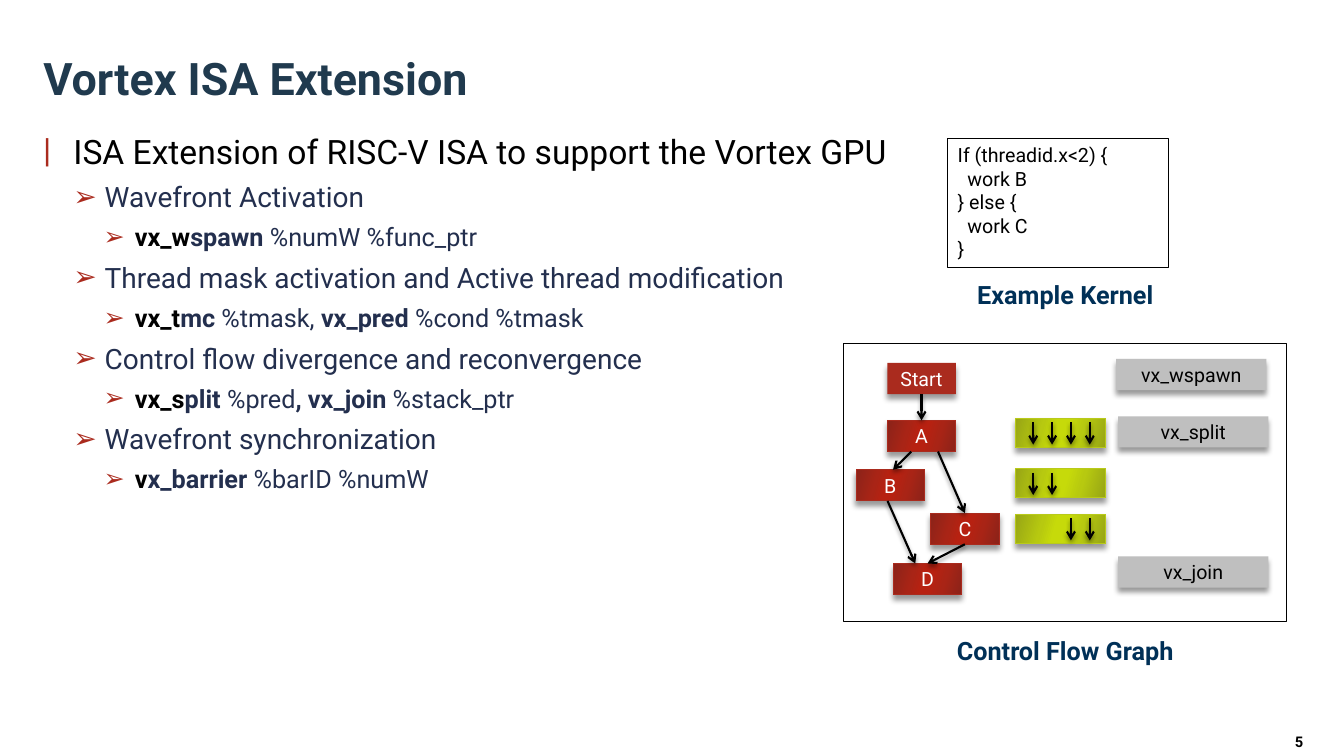
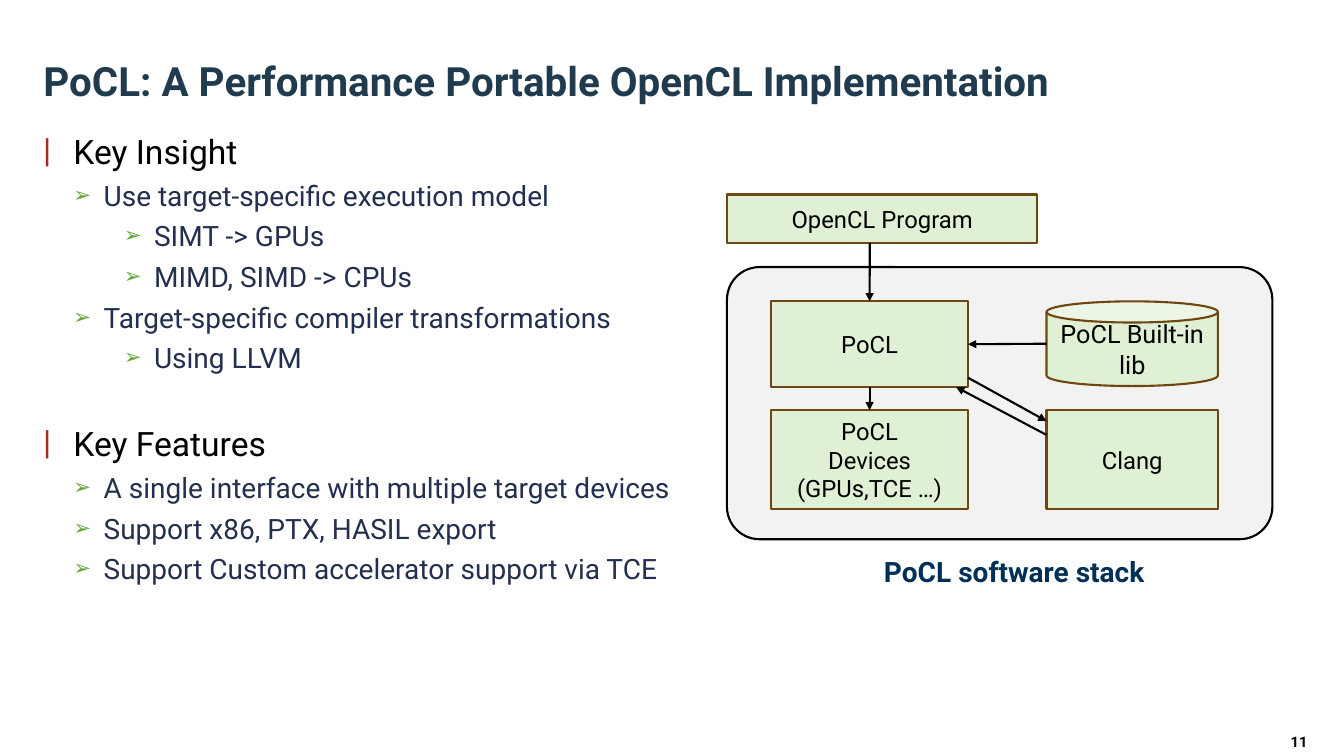
"""Build two slides on the Vortex ISA extension and the PoCL software stack."""
from dataclasses import dataclass

from lxml import etree
from pptx import Presentation
from pptx import util as u
from pptx.dml.color import RGBColor
from pptx.enum import shapes, text
from pptx.oxml.ns import qn


@dataclass(frozen=True)
class Theme:
    font: str = "Roboto"
    title: str = "203A4E"
    navy: str = "232F4E"
    caption: str = "003057"
    black: str = "000000"
    white: str = "FFFFFF"
    red: str = "AA2B1E"
    green: str = "64A73B"
    lime: str = "B9CA1A"
    grey: str = "BFBFBF"
    panel: str = "F2F2F2"
    leaf: str = "DFF0D5"
    brown: str = "6F460F"
    red_shades: tuple = ("8B2319", "A92416", "B72111")
    lime_shades: tuple = ("97A515", "B7C910", "C6DA0A")
    node_shadow: tuple = (4, 3.4)
    arrow_shadow: tuple = (3, 2)
    heading_size: float = 24
    item_size: float = 20
    code_size: float = 18
    label_size: float = 14
    stack_size: float = 17
    page_size: float = 10.5


T = Theme()
SIZE = (13.33, 7.5)
TITLE_AT = (0.33, 0.17, 12.33, 0.92)
BODY_AT = (0.33, 1.25, 12.67, 5.67)
PAGE_AT = (12.33, 7.22, 1.11, 0.25)

ISA_OUTLINE = [
    (0, "ISA Extension of RISC-V ISA to support the Vortex GPU"),
    (1, "Wavefront Activation"),
    (2, [("vx_w", "black"), ("spawn ", "bold"), ("%numW %func_ptr", "")]),
    (1, "Thread mask activation and Active thread modification"),
    (2, [("vx_t", "black"), ("mc ", "bold"), ("%tmask, ", ""),
         ("vx_pred ", "bold"), ("%cond %tmask", "")]),
    (1, "Control flow divergence and reconvergence"),
    (2, [("vx_s", "black"), ("plit ", "bold"), ("%pred", ""),
         (", vx_join ", "bold"), ("%stack_ptr", "")]),
    (1, "Wavefront synchronization"),
    (2, [("v", "black"), ("x_barrier ", "bold"), ("%barID %numW", "")]),
]
POCL_OUTLINE = [
    (0, "Key Insight"),
    (1, "Use target-specific execution model"),
    (2, "SIMT -> GPUs"),
    (2, "MIMD, SIMD -> CPUs"),
    (1, "Target-specific compiler transformations"),
    (2, "Using LLVM"),
    (0, "Key Features"),
    (1, "A single interface with multiple target devices"),
    (1, "Support x86, PTX, HASIL export"),
    (1, "Support Custom accelerator support via TCE"),
]
ISA_STYLE = dict(indents=(0.3, 0.61, 0.91), hangs=(0.3, 0.31, 0.31), gap=6,
                 section_gap=6, marker=T.red, percent=100,
                 sizes=(T.heading_size, T.item_size, T.code_size))
POCL_STYLE = dict(indents=(0.3, 0.6, 1.1), hangs=(0.3, 0.3, 0.3), gap=5,
                  section_gap=35, marker=T.green, percent=76,
                  sizes=(T.heading_size, T.item_size, T.item_size))

KERNEL = ["If (threadid.x<2) {", "  work B", "} else {", "  work C", "}"]
KERNEL_AT = (9.4, 1.37, 2.19, 1.28)
GRAPH_AT = (8.37, 3.41, 4.39, 2.76)
BLOCK = (0.68, 0.31)
BLOCKS = {"Start": (8.8, 3.6), "A": (8.8, 4.17), "B": (8.49, 4.66),
          "C": (9.23, 5.09), "D": (8.86, 5.59)}
FLOW = [("Start", 0.5, "A", 0.5), ("A", 0.35, "B", 0.54), ("A", 0.74, "C", 0.5),
        ("B", 0.46, "D", 0.32), ("C", 0.5, "D", 0.5)]
MASK_LEFT, MASK = 10.07, (0.89, 0.29)
MASKS = [(4.15, (0, 1, 2, 3)), (4.65, (0, 1)), (5.1, (2, 3))]
INSTRUCTIONS = [("vx_wspawn", 11.07, 3.56), ("vx_split", 11.09, 4.13),
                ("vx_join", 11.09, 5.52)]
INSTRUCTION = (1.49, 0.31)

STACK_AT = (7.21, 2.65, 5.41, 2.7)
STACK = {
    "program": (["OpenCL Program"], (7.21, 1.93, 3.08, 0.48)),
    "pocl": (["PoCL"], (7.65, 2.99, 1.95, 0.85)),
    "lib": (["PoCL Built-in lib"], (10.38, 2.99, 1.7, 0.84)),
    "devices": (["PoCL", "Devices", "(GPUs,TCE …)"], (7.65, 4.07, 1.95, 0.98)),
    "clang": (["Clang"], (10.38, 4.07, 1.7, 0.98)),
}
CALLS = [("program", 0.46, 1, "pocl", 0.5, 0), ("lib", 0, 0.5, "pocl", 1, 0.5),
         ("clang", 0, 0.25, "pocl", 0.94, 1), ("pocl", 1, 0.89, "clang", 0, 0.11),
         ("pocl", 0.5, 1, "devices", 0.5, 0)]


def inches(lengths):
    return [u.Inches(length) for length in lengths]


def add_xml(parent, tag, **attributes):
    return etree.SubElement(parent, qn(tag), {k: str(v) for k, v in attributes.items()})


def set_font(font, size=None, color=None, bold=None):
    font.name = T.font
    if size:
        font.size = u.Pt(size)
    if color:
        font.color.rgb = RGBColor.from_string(color)
    if bold is not None:
        font.bold = bold


def write(frame, lines, size, color, bold=False, align=text.PP_ALIGN.CENTER, spacing=None):
    frame.word_wrap = True
    for i, line in enumerate(lines):
        paragraph = frame.paragraphs[0] if i == 0 else frame.add_paragraph()
        paragraph.text = line
        paragraph.alignment = align
        if spacing:
            paragraph.line_spacing = spacing
        set_font(paragraph.font, size, color, bold)


def label(slide, at, words, size, color, spacing=None):
    frame = slide.shapes.add_textbox(*inches(at)).text_frame
    write(frame, [words], size, color, bold=True, spacing=spacing)


def shade(part, blur, distance):
    effects = add_xml(part._element.spPr, "a:effectLst")
    shadow = add_xml(effects, "a:outerShdw", blurRad=u.Pt(blur), dist=u.Pt(distance),
                     dir=90 * 60000, rotWithShape=0)
    add_xml(add_xml(shadow, "a:srgbClr", val=T.black), "a:alpha", val=40000)


def shine(part, shades):
    part.fill.gradient()
    part.fill.gradient_angle = 344
    stops = part._element.spPr.find(".//" + qn("a:gsLst"))
    for stop in list(stops):
        stops.remove(stop)
    for percent, tone in zip((0, 30, 45, 55, 73, 100), (0, 1, 2, 2, 1, 0)):
        add_xml(add_xml(stops, "a:gs", pos=percent * 1000), "a:srgbClr", val=shades[tone])


def box(slide, at, fill=None, line=None, width=0.75, shadow=None, kind="RECTANGLE"):
    part = slide.shapes.add_shape(shapes.MSO_SHAPE[kind], *inches(at))
    if isinstance(fill, tuple):
        shine(part, fill)
    elif fill:
        part.fill.solid()
        part.fill.fore_color.rgb = RGBColor.from_string(fill)
    else:
        part.fill.background()
    if line:
        part.line.color.rgb = RGBColor.from_string(line)
        part.line.width = u.Pt(width)
    else:
        part.line.fill.background()
    if shadow:
        shade(part, *shadow)
    else:
        part.shadow.inherit = False
    return part


def arrow(slide, start, end, head="arrow", shadow=None):
    link = slide.shapes.add_connector(shapes.MSO_CONNECTOR.STRAIGHT, *inches(start + end))
    link.line.color.rgb = RGBColor.from_string(T.black)
    link.line.width = u.Pt(1.5)
    add_xml(link.line._get_or_add_ln(), "a:tailEnd", type=head)
    if shadow:
        shade(link, *shadow)
    else:
        add_xml(link._element.spPr, "a:effectLst")


def point(at, across, down):
    left, top, width, height = at
    return (left + width * across, top + height * down)


def outline(slide, items, indents, hangs, gap, section_gap, marker, percent, sizes):
    frame = slide.shapes.add_textbox(*inches(BODY_AT)).text_frame
    frame.word_wrap = True
    for i, (level, content) in enumerate(items):
        paragraph = frame.paragraphs[0] if i == 0 else frame.add_paragraph()
        paragraph.level = level
        properties = paragraph._p.get_or_add_pPr()
        properties.set("marL", str(u.Inches(indents[level])))
        properties.set("indent", str(-u.Inches(hangs[level])))
        add_xml(add_xml(properties, "a:buClr"), "a:srgbClr", val=marker if level else T.red)
        add_xml(properties, "a:buSzPct", val=(percent if level else 100) * 1000)
        add_xml(properties, "a:buFont", typeface=T.font)
        add_xml(properties, "a:buChar", char="➢" if level else "|")
        if i:
            paragraph.space_before = u.Pt(gap if level else section_gap)
        set_font(paragraph.font, sizes[level], T.navy if level else T.black)
        if isinstance(content, str):
            paragraph.add_run().text = content
            continue
        for words, style in content:
            run = paragraph.add_run()
            run.text = words
            set_font(run.font, color=T.black if style == "black" else None, bold=bool(style))


def titled_slide(deck, title, size, page):
    slide = deck.slides.add_slide(deck.slide_layouts[5])
    heading = slide.shapes.title
    heading.left, heading.top, heading.width, heading.height = inches(TITLE_AT)
    heading.text_frame.auto_size = text.MSO_AUTO_SIZE.NONE
    heading.text_frame.vertical_anchor = text.MSO_ANCHOR.BOTTOM
    write(heading.text_frame, [title], size, T.title, True, text.PP_ALIGN.LEFT)
    label(slide, PAGE_AT, page, T.page_size, T.black)
    return slide


def isa_slide(deck):
    slide = titled_slide(deck, "Vortex ISA Extension", 32, "5")
    outline(slide, ISA_OUTLINE, **ISA_STYLE)
    kernel = box(slide, KERNEL_AT, line=T.black).text_frame
    kernel.vertical_anchor = text.MSO_ANCHOR.TOP
    write(kernel, KERNEL, T.label_size, T.black, align=text.PP_ALIGN.LEFT)
    box(slide, GRAPH_AT, line=T.black)
    for words, top in (("Example Kernel", 2.76), ("Control Flow Graph", 6.29)):
        label(slide, (GRAPH_AT[0], top, GRAPH_AT[2], 0.45), words, T.code_size, T.caption, 0.9)

    for name, corner in BLOCKS.items():
        first = name == "Start"
        block = box(slide, corner + BLOCK, T.red if first else T.red_shades,
                    None if first else T.red, shadow=T.node_shadow)
        write(block.text_frame, [name], T.label_size, T.white)
    for source, leave, target, arrive in FLOW:
        arrow(slide, point(BLOCKS[source] + BLOCK, leave, 1),
              point(BLOCKS[target] + BLOCK, arrive, 0), shadow=T.arrow_shadow)

    for top, threads in MASKS:
        mask = (MASK_LEFT, top) + MASK
        box(slide, mask, T.lime_shades, T.lime, shadow=T.node_shadow)
        for thread in threads:
            across = 0.2 + 0.21 * thread
            arrow(slide, point(mask, across, 0.14), point(mask, across, 0.9),
                  shadow=T.arrow_shadow)
    for name, left, top in INSTRUCTIONS:
        tag = box(slide, (left, top) + INSTRUCTION, T.grey, shadow=T.node_shadow)
        write(tag.text_frame, [name], T.label_size, T.black)


def pocl_slide(deck):
    slide = titled_slide(deck, "PoCL: A Performance Portable OpenCL Implementation", 28.8, "11")
    outline(slide, POCL_OUTLINE, **POCL_STYLE)
    panel = box(slide, STACK_AT, T.panel, T.black, 1.5, kind="ROUNDED_RECTANGLE")
    panel.adjustments[0] = 0.12
    for name, (lines, at) in STACK.items():
        library = name == "lib"
        part = box(slide, at, T.leaf, T.brown, 1.5, kind="CAN" if library else "RECTANGLE")
        write(part.text_frame, lines, T.code_size if library else T.stack_size, T.black)
    for source, x1, y1, target, x2, y2 in CALLS:
        arrow(slide, point(STACK[source][1], x1, y1), point(STACK[target][1], x2, y2), "triangle")
    label(slide, (8.04, 5.49, 4.04, 0.8), "PoCL software stack", T.item_size, T.caption, 0.9)


def main():
    deck = Presentation()
    deck.slide_width, deck.slide_height = inches(SIZE)
    isa_slide(deck)
    pocl_slide(deck)
    deck.save("out.pptx")


if __name__ == "__main__":
    main()
